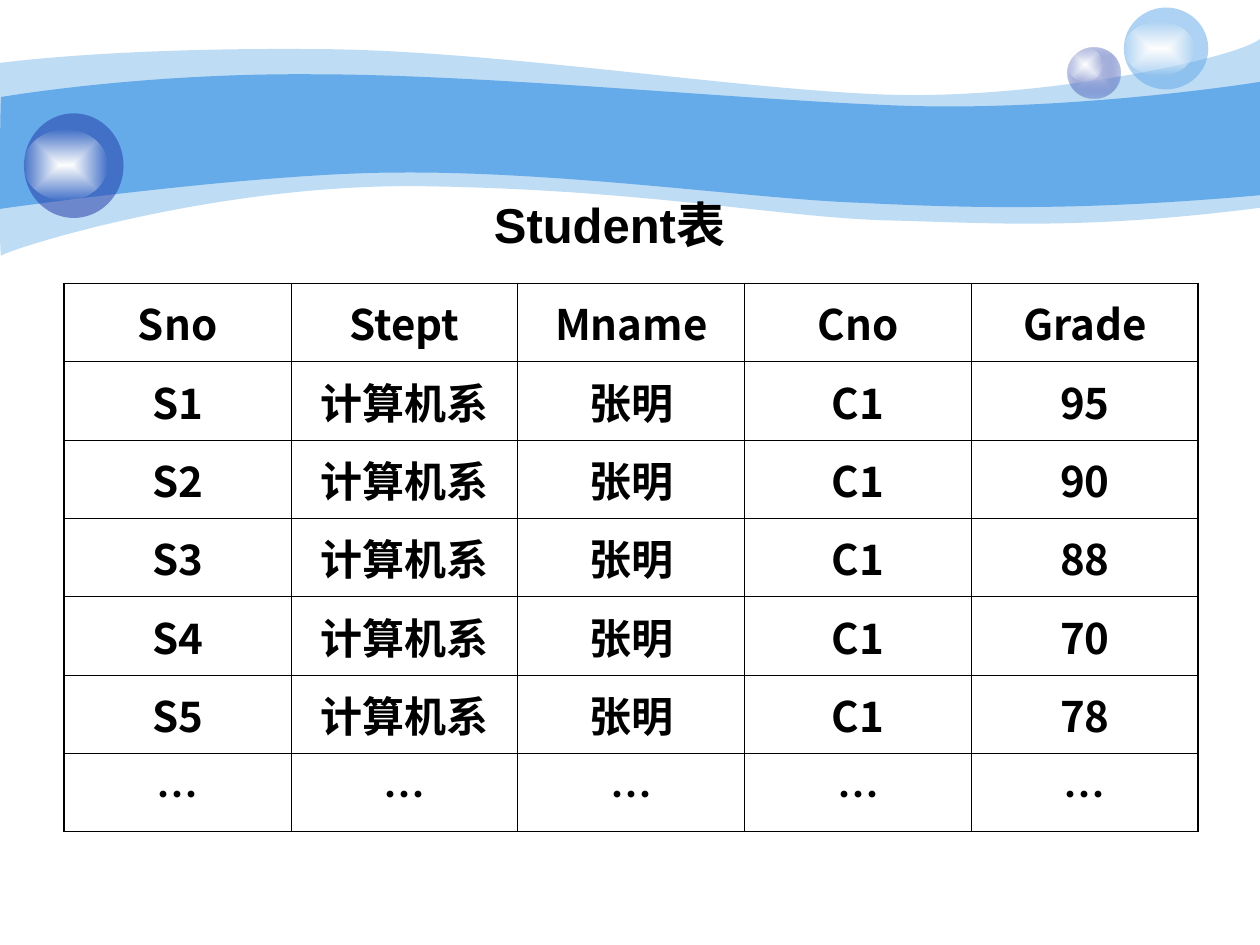
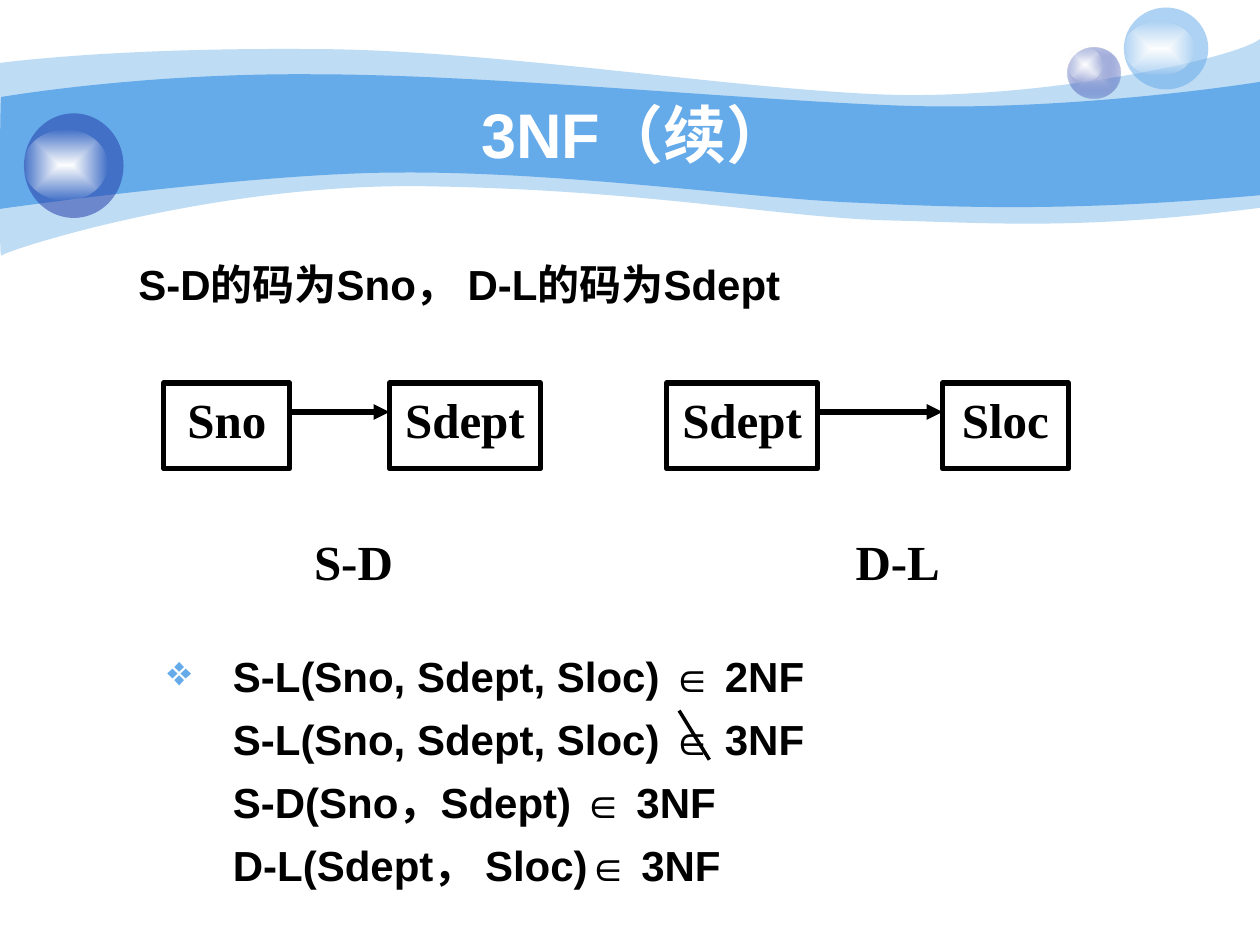
import itertools
from typing import NamedTuple, Optional

import pptx
import pptx.dml.color
import pptx.enum.lang
import pptx.enum.shapes
import pptx.enum.text
import pptx.oxml
import pptx.oxml.ns
import pptx.util
from pptx.dml.color import RGBColor
from pptx.enum.text import MSO_ANCHOR, PP_ALIGN
from pptx.oxml.ns import qn
from pptx.util import Inches, Pt

SKY = RGBColor(0x65, 0xAA, 0xE9)
NAVY = RGBColor(0x23, 0x3D, 0xA9)
LILAC = RGBColor(0xC7, 0xCE, 0xE9)
WHITE = RGBColor(0xFF, 0xFF, 0xFF)
BLACK = RGBColor(0, 0, 0)

SANS = "Arial"
SERIF = "Times New Roman"
CJK = "Noto Sans CJK SC"


class Stop(NamedTuple):
    color: RGBColor
    alpha: int = 100


class Bubble(NamedTuple):
    x: float
    y: float
    w: float
    h: float
    stops: tuple[Stop, ...]


class Wave(NamedTuple):
    stop: Stop
    points: tuple[tuple[float, float], ...]


class Node(NamedTuple):
    name: str
    x: float
    w: float


class Dependency(NamedTuple):
    source: Node
    target: Node
    label: str
    label_x: float
    label_w: float


GLOW = (Stop(WHITE), Stop(WHITE, 0))
BUBBLES = (
    Bubble(8.47, 0.38, 0.42, 0.4, (Stop(LILAC), Stop(NAVY, 31))),
    Bubble(8.47, 0.38, 0.28, 0.27, GLOW),
    Bubble(8.92, 0.06, 0.67, 0.65, (Stop(SKY, 53),)),
    Bubble(8.92, 0.17, 0.56, 0.43, GLOW),
    Bubble(0.19, 0.9, 0.79, 0.83, (Stop(NAVY, 53),)),
    Bubble(0.19, 1.03, 0.66, 0.56, GLOW),
)
WAVES = (
    Wave(Stop(SKY, 41), (
        (0, 0.5), (0.24, 0.47), (1.07, 0.38), (2.47, 0.39),
        (3.86, 0.39), (5.75, 0.7), (6.99, 0.75),
        (8.22, 0.8), (9.8, 0.47), (10, 0.31),
        (10, 0.31), (10, 1.65), (10, 1.65),
        (8.58, 1.83), (7.87, 1.77), (7.05, 1.75),
        (6.22, 1.73), (5.15, 1.51), (3.43, 1.48),
        (1.72, 1.44), (0.04, 1.99), (0.01, 2.03),
        (-0.01, 2.08), (0, 0.75), (0, 0.5))),
    Wave(Stop(SKY), (
        (0.01, 0.77), (0.02, 0.77), (1.1, 0.58), (2.48, 0.59),
        (3.86, 0.59), (5.95, 0.8), (7.18, 0.84),
        (8.41, 0.88), (9.76, 0.69), (10, 0.65),
        (10, 0.65), (10, 1.55), (10, 1.55),
        (8.53, 1.68), (7.65, 1.65), (6.82, 1.61),
        (5.99, 1.58), (4.47, 1.36), (3.17, 1.37),
        (2.03, 1.37), (-0.02, 1.66), (-0.01, 1.66),
        (0, 1.66), (0, 0.77), (0.01, 0.77))),
)

HEADERS = ("Sno", "Stept", "Mname", "Cno", "Grade")
GRADES = ("95", "90", "88", "70", "78")
ROWS = (
    HEADERS,
    *((f"S{i}", "计算机系", "张明", "C1", grade) for i, grade in enumerate(GRADES, 1)),
    ("…",) * len(HEADERS),
)

DEPENDENCIES = (
    Dependency(Node("Sno", 1.3, 1), Node("Sdept", 3.09, 1.2), "S-D", 2.3, 1.01),
    Dependency(Node("Sdept", 5.29, 1.2), Node("Sloc", 7.48, 1), "D-L", 6.68, 0.89),
)
NORMAL_FORMS = (
    "S-L(Sno, Sdept, Sloc) ∈ 2NF",
    "S-L(Sno, Sdept, Sloc) ∈ 3NF",
    "S-D(Sno，Sdept) ∈ 3NF",
    "D-L(Sdept， Sloc)∈ 3NF",
)


def element(tag: str, **attrs):
    el = pptx.oxml.ns.nsdecls("a")
    values = " ".join(f'{k}="{v}"' for k, v in attrs.items())
    return pptx.oxml.parse_xml(f"<a:{tag} {el} {values}/>")


def color_element(stop: Stop):
    color = element("srgbClr", val=stop.color)
    if stop.alpha < 100:
        color.append(element("alpha", val=stop.alpha * 1000))
    return color


def write(tf, *lines: str, size: float, font: str = SANS, color: RGBColor = BLACK,
          align=PP_ALIGN.LEFT, anchor=MSO_ANCHOR.TOP, wrap: bool = True,
          spacing=None, margin: float = 0, hanging: float = 0,
          bullet: Optional[str] = None) -> None:
    tf.word_wrap = wrap
    tf.auto_size = pptx.enum.text.MSO_AUTO_SIZE.NONE
    tf.vertical_anchor = anchor
    for i, line in enumerate(lines):
        p = tf.paragraphs[0] if i == 0 else tf.add_paragraph()
        p.alignment = align
        p.space_before = Pt(0)
        if spacing:
            p.line_spacing = spacing
        pPr = p._p.get_or_add_pPr()
        if margin:
            pPr.set("marL", str(Inches(margin)))
        if bullet and i == 0:
            pPr.set("indent", str(-Inches(hanging)))
            tint = element("buClr")
            tint.append(color_element(Stop(SKY)))
            pPr.append(tint)
            pPr.append(element("buChar", char=bullet))
        r = p.add_run()
        r.text = line
        r.font.size = Pt(size)
        r.font.bold = True
        r.font.name = font
        r.font.color.rgb = color
        r.font.language_id = pptx.enum.lang.MSO_LANGUAGE_ID.SIMPLIFIED_CHINESE
        r._r.rPr.find(qn("a:latin")).addnext(element("ea", typeface=CJK))


def add_text(s, x: float, y: float, w: float, h: float, *lines: str, **fmt) -> None:
    box = s.shapes.add_textbox(Inches(x), Inches(y), Inches(w), Inches(h))
    write(box.text_frame, *lines, **fmt)


def set_title(s, x: float, y: float, w: float, h: float, text: str, **fmt) -> None:
    title = s.shapes.title
    title.left, title.top, title.width, title.height = map(Inches, (x, y, w, h))
    write(title.text_frame, text, **fmt)


def paint(sp, stops: tuple[Stop, ...]) -> None:
    sp.shadow.inherit = False
    sp.line.fill.background()
    sp.fill.solid()
    sp.fill.fore_color.rgb = stops[0].color
    solid = sp._element.spPr.find(qn("a:solidFill"))
    if len(stops) == 1:
        solid.replace(solid[0], color_element(stops[0]))
        return
    grad = element("gradFill", rotWithShape=1)
    gs_list = element("gsLst")
    for i, stop in enumerate(stops):
        gs = element("gs", pos=i * 100000)
        gs.append(color_element(stop))
        gs_list.append(gs)
    shade = element("path", path="rect")
    shade.append(element("fillToRect", l=50000, t=50000, r=50000, b=50000))
    grad.extend((gs_list, shade))
    sp._element.spPr.replace(solid, grad)


def add_wave(s, wave: Wave):
    start, *rest = [(Inches(x), Inches(y)) for x, y in wave.points]
    builder = s.shapes.build_freeform(*start)
    builder.add_line_segments(rest, close=True)
    sp = builder.convert_to_shape()
    segments = list(sp._element.iter(qn("a:lnTo")))
    for i in range(0, len(segments), 3):
        curve = element("cubicBezTo")
        segments[i].addprevious(curve)
        for segment in segments[i:i + 3]:
            curve.append(segment[0])
            segment.getparent().remove(segment)
    paint(sp, (wave.stop,))
    return sp


def add_bubble(s, bubble: Bubble):
    sp = s.shapes.add_shape(pptx.enum.shapes.MSO_SHAPE.OVAL,
                            *map(Inches, (bubble.x, bubble.y, bubble.w, bubble.h)))
    paint(sp, bubble.stops)
    return sp


def decorate_master(prs, s) -> None:
    art = [add_wave(s, wave) for wave in WAVES]
    art += [add_bubble(s, bubble) for bubble in BUBBLES]
    for i, sp in enumerate(art, 100):
        sp._element.nvSpPr.cNvPr.set("id", str(i))
        prs.slide_master.shapes._spTree.append(sp._element)


def add_line(s, x1: float, y1: float, x2: float, y2: float, width: float,
             arrow: bool = False) -> None:
    line = s.shapes.add_connector(pptx.enum.shapes.MSO_CONNECTOR.STRAIGHT,
                                  *map(Inches, (x1, y1, x2, y2)))
    line.line.color.rgb = BLACK
    line.line.width = Pt(width)
    if arrow:
        line.line._get_or_add_ln().append(element("tailEnd", type="triangle"))
    line._element.spPr.append(element("effectLst"))


def add_node(s, node: Node, y: float, h: float) -> None:
    sp = s.shapes.add_shape(pptx.enum.shapes.MSO_SHAPE.RECTANGLE,
                            *map(Inches, (node.x, y, node.w, h)))
    sp.shadow.inherit = False
    sp.fill.background()
    sp.line.color.rgb = BLACK
    sp.line.width = Pt(3)
    write(sp.text_frame, node.name, size=28, font=SERIF, align=PP_ALIGN.CENTER, wrap=False)


def add_dependency(s, dep: Dependency) -> None:
    for node in (dep.source, dep.target):
        add_node(s, node, 3.04, 0.68)
    add_line(s, dep.source.x + dep.source.w, 3.27, dep.target.x, 3.27, 3, arrow=True)
    add_text(s, dep.label_x, 4.17, dep.label_w, 0.68, dep.label,
             size=28, font=SERIF, align=PP_ALIGN.CENTER, wrap=False)


def set_border(cell, side: str, width: float) -> None:
    ln = element(f"ln{side}", w=Pt(width))
    fill = element("solidFill")
    fill.append(color_element(Stop(BLACK)))
    ln.append(fill)
    cell._tc.get_or_add_tcPr().append(ln)


def add_student_table(s) -> None:
    n_rows, n_cols = len(ROWS), len(HEADERS)
    table = s.shapes.add_table(n_rows, n_cols, Inches(0.51), Inches(2.25),
                               Inches(9), Inches(4.35)).table
    table.first_row = table.horz_banding = False
    for row, col in itertools.product(range(n_rows), range(n_cols)):
        cell = table.cell(row, col)
        outer = {"L": col == 0, "R": col == n_cols - 1,
                 "T": row == 0, "B": row == n_rows - 1}
        for side, is_outer in outer.items():
            set_border(cell, side, 1.08 if is_outer else 0.45)
        cell.fill.background()
        cell.vertical_anchor = MSO_ANCHOR.MIDDLE
        write(cell.text_frame, ROWS[row][col], size=24, font=CJK,
              align=PP_ALIGN.CENTER, anchor=None)
        cell.vertical_anchor = MSO_ANCHOR.MIDDLE


def build_student_slide(s) -> None:
    set_title(s, 3.82, 1.55, 2.13, 0.52, "Student表", size=28, spacing=0.9)
    add_student_table(s)


def build_3nf_slide(s) -> None:
    set_title(s, 1, 0.75, 8.08, 0.62, "3NF（续）", size=36, color=WHITE,
              align=PP_ALIGN.CENTER, anchor=MSO_ANCHOR.MIDDLE)
    add_text(s, 1, 2, 8.5, 0.6, "S-D的码为Sno， D-L的码为Sdept", size=24)
    for dep in DEPENDENCIES:
        add_dependency(s, dep)
    add_text(s, 0.98, 5.01, 5.75, 2.1, *NORMAL_FORMS, size=24, spacing=Pt(36),
             margin=0.77, hanging=0.52, bullet="❖")
    add_line(s, 5.39, 5.64, 5.63, 6.03, 2)


def main() -> None:
    prs = pptx.Presentation()
    prs.slide_width, prs.slide_height = Inches(10), Inches(7.5)
    title_only = prs.slide_layouts[5]
    student, third_form = (prs.slides.add_slide(title_only) for _ in range(2))
    decorate_master(prs, student)
    build_student_slide(student)
    build_3nf_slide(third_form)
    prs.save("out.pptx")


if __name__ == "__main__":
    main()
